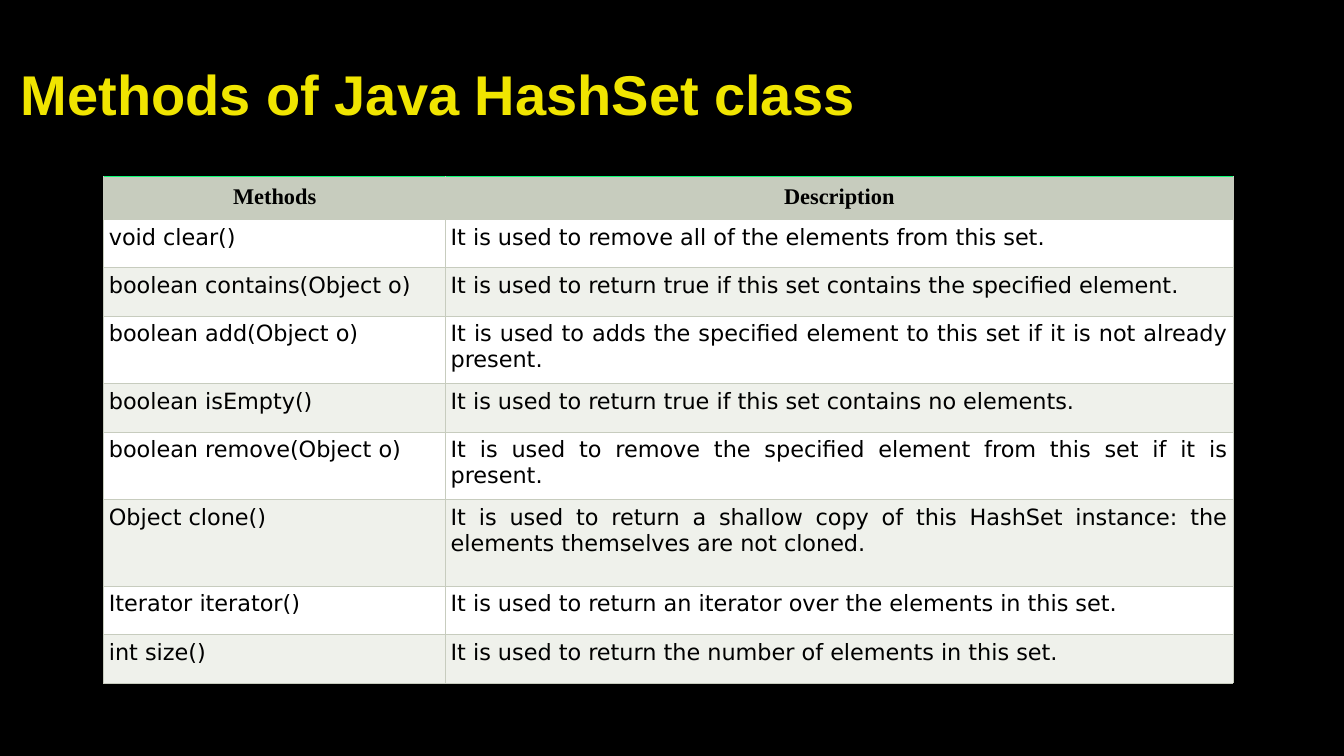
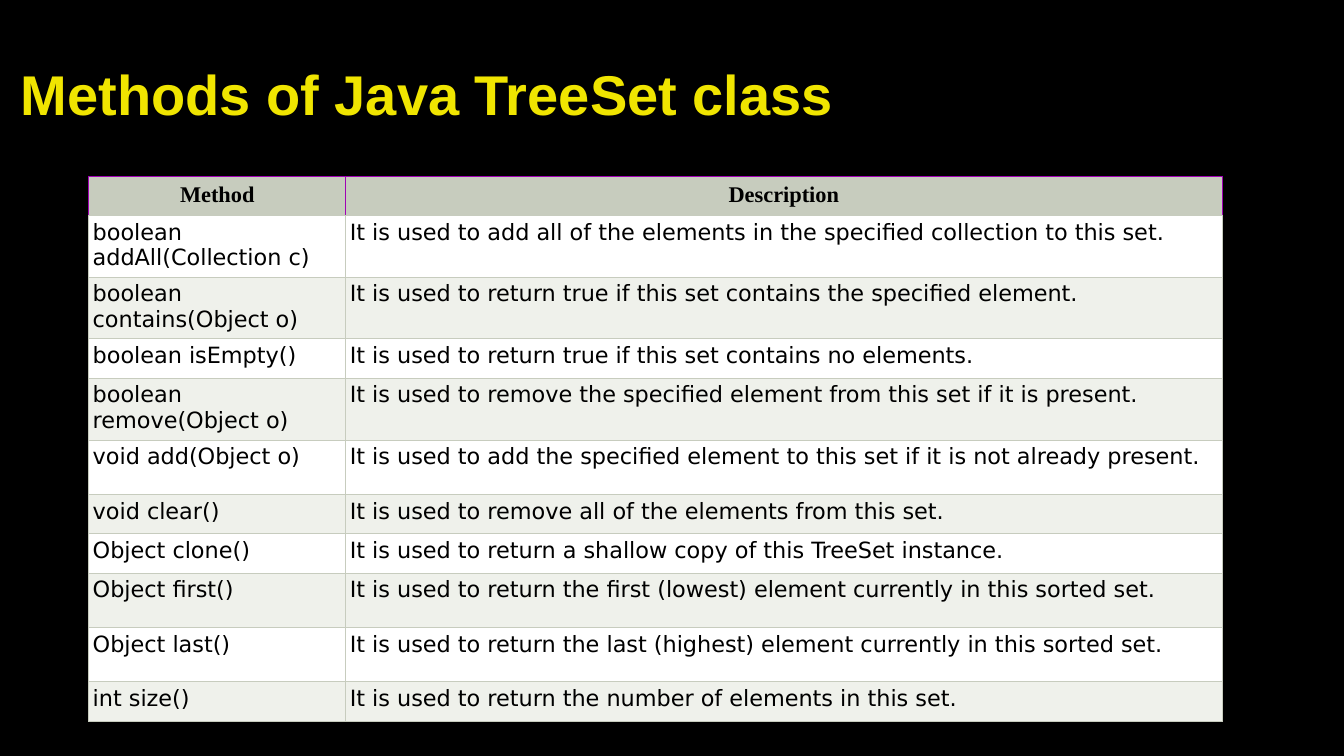
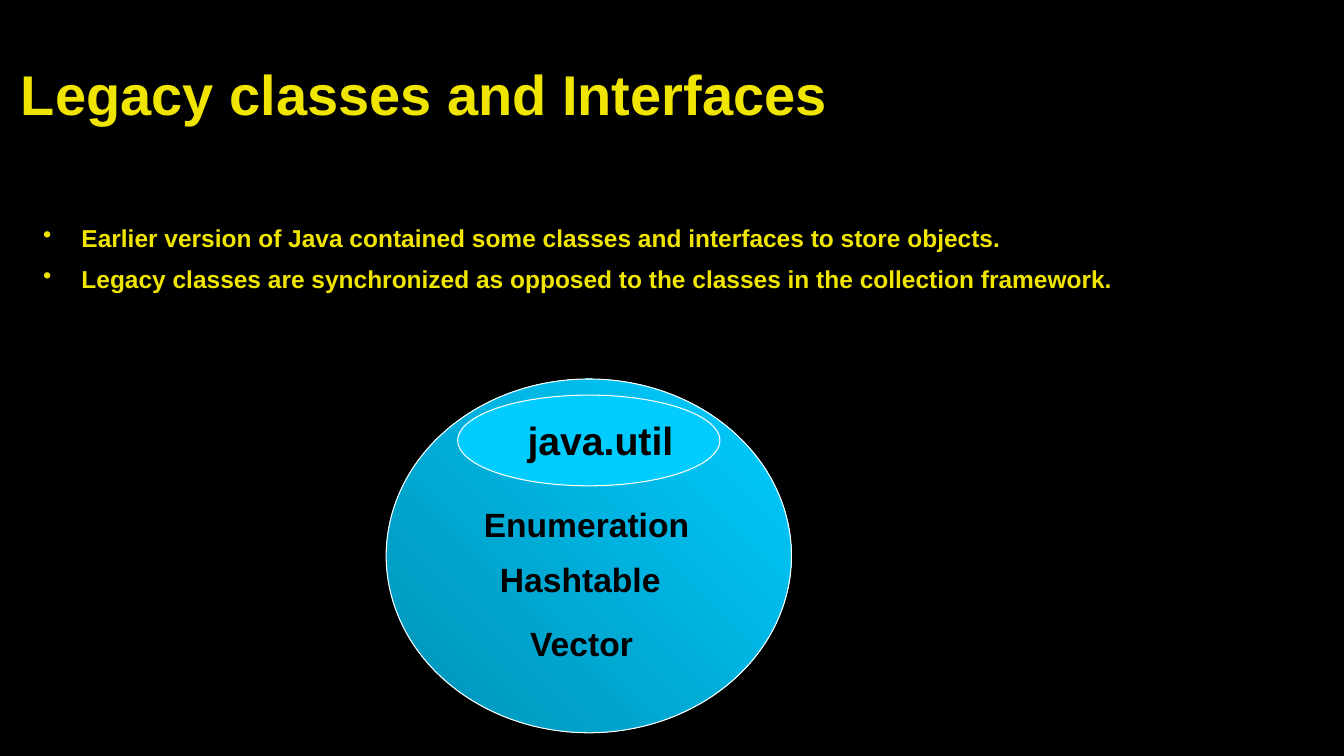
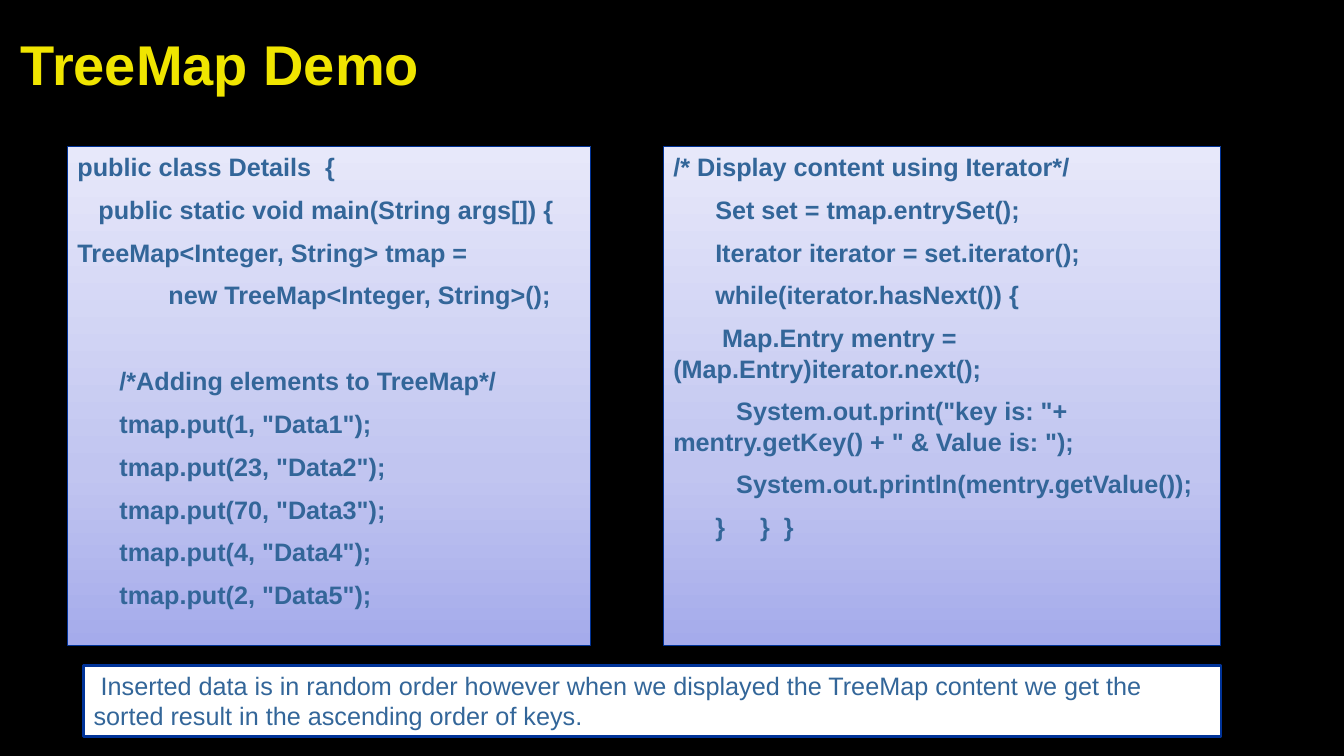
from lxml import etree
from pptx import Presentation
from pptx.dml.color import RGBColor
from pptx.enum.shapes import MSO_SHAPE
from pptx.enum.text import MSO_ANCHOR, PP_ALIGN
from pptx.oxml.ns import qn
from pptx.util import Inches, Pt

OVAL, RECTANGLE = MSO_SHAPE.OVAL, MSO_SHAPE.RECTANGLE
CENTER, JUSTIFY, LEFT = PP_ALIGN.CENTER, PP_ALIGN.JUSTIFY, PP_ALIGN.LEFT
TOP, MIDDLE = MSO_ANCHOR.TOP, MSO_ANCHOR.MIDDLE

BLACK, WHITE, YELLOW = "000000", "FFFFFF", "F0E500"
STEEL, NAVY, CYAN = "336699", "003296", "00CCFF"
TABLE_GREY, BAND_GREY = "C7CCBE", "EFF1EB"
GREEN, PURPLE = "10FB76", "A002B4"
CODE_GRADIENT = [(0, "A5ABEB"), (35, "C1C5F0"), (100, "E7E8FA")]
BALL_GRADIENT = [(0, "0092B6"), (100, CYAN)]

HASHSET_ROWS = [
    (0.48, "void clear()", "It is used to remove all of the elements from this set."),
    (0.48, "boolean contains(Object o)",
     "It is used to return true if this set contains the specified element."),
    (0.67, "boolean add(Object o)",
     "It is used to adds the specified element to this set if it is not already present."),
    (0.48, "boolean isEmpty()", "It is used to return true if this set contains no elements."),
    (0.67, "boolean remove(Object o)",
     "It is used to remove the specified element from this set if it is present."),
    (0.86, "Object clone()",
     "It is used to return a shallow copy of this HashSet instance: "
     "the elements themselves are not cloned."),
    (0.48, "Iterator iterator()",
     "It is used to return an iterator over the elements in this set."),
    (0.48, "int size()", "It is used to return the number of elements in this set."),
]
TREESET_ROWS = [
    (0.6, "boolean addAll(Collection c)",
     "It is used to add all of the elements in the specified collection to this set."),
    (0.6, "boolean contains(Object o)",
     "It is used to return true if this set contains the specified element."),
    (0.39, "boolean isEmpty()", "It is used to return true if this set contains no elements."),
    (0.6, "boolean remove(Object o)",
     "It is used to remove the specified element from this set if it is present."),
    (0.54, "void add(Object o)",
     "It is used to add the specified element to this set if it is not already present."),
    (0.39, "void clear()", "It is used to remove all of the elements from this set."),
    (0.39, "Object clone()", "It is used to return a shallow copy of this TreeSet instance."),
    (0.54, "Object first()",
     "It is used to return the first (lowest) element currently in this sorted set."),
    (0.54, "Object last()",
     "It is used to return the last (highest) element currently in this sorted set."),
    (0.39, "int size()", "It is used to return the number of elements in this set."),
]
LEGACY_POINTS = [
    "Earlier version of Java contained some classes and interfaces to store objects.",
    "Legacy classes are synchronized as opposed to the classes in the collection framework.",
]
FILL_CODE = [
    "public class Details  {",
    "   public static void main(String args[]) {",
    "TreeMap<Integer, String> tmap =",
    "             new TreeMap<Integer, String>();",
    "      /*Adding elements to TreeMap*/",
    '      tmap.put(1, "Data1");',
    '      tmap.put(23, "Data2");',
    '      tmap.put(70, "Data3");',
    '      tmap.put(4, "Data4");',
    '      tmap.put(2, "Data5");',
]
DISPLAY_CODE = [
    "/* Display content using Iterator*/",
    "      Set set = tmap.entrySet();",
    "      Iterator iterator = set.iterator();",
    "      while(iterator.hasNext()) {",
    "       Map.Entry mentry = (Map.Entry)iterator.next();",
    '         System.out.print("key is: "+ mentry.getKey() + " & Value is: ");',
    "         System.out.println(mentry.getValue());",
    "      }     }  }",
]
SORT_NOTE = ("Inserted data is in random order however when we displayed the TreeMap content "
             "we get the sorted result in the ascending order of keys.")


def color(value):
    return RGBColor.from_string(value)


def write_text(frame, lines, size=18, font="Arial", fill=BLACK, bold=True, align=LEFT,
               anchor=TOP, gap=0, left=0, first=0, bullet=None):
    """Fill a text frame, one paragraph a line; left and first are indents in inches."""
    frame.word_wrap = True
    frame.vertical_anchor = anchor
    for index, line in enumerate(lines):
        paragraph = frame.add_paragraph() if index else frame.paragraphs[0]
        properties = paragraph._p.get_or_add_pPr()
        properties.set("marL", str(Inches(left)))
        properties.set("indent", str(Inches(first)))
        if bullet:
            etree.SubElement(properties, qn("a:buChar"), char=bullet)
        paragraph.alignment = align
        if index:
            paragraph.space_before = Pt(gap)
        run = paragraph.add_run()
        run.text = line
        run.font.name, run.font.size, run.font.bold = font, Pt(size), bold
        run.font.color.rgb = color(fill)


def add_text(shapes, box, lines, **text_format):
    text_box = shapes.add_textbox(*map(Inches, box))
    write_text(text_box.text_frame, lines, **text_format)
    return text_box


def fill_gradient(shape, stops, angle):
    shape.fill.gradient()
    shape.fill.gradient_angle = angle
    stop_list = shape._element.spPr.find(".//" + qn("a:gsLst"))
    for stop in list(stop_list):
        stop_list.remove(stop)
    for position, value in stops:
        stop = etree.SubElement(stop_list, qn("a:gs"), pos=str(position * 1000))
        etree.SubElement(stop, qn("a:srgbClr"), val=value)


def add_shape(shapes, kind, box, fill, line, line_width=0.75, angle=0):
    """Draw a preset shape; fill is one colour or a list of gradient stops."""
    shape = shapes.add_shape(kind, *map(Inches, box))
    shape.shadow.inherit = False
    if isinstance(fill, str):
        shape.fill.solid()
        shape.fill.fore_color.rgb = color(fill)
    else:
        fill_gradient(shape, fill, angle)
    shape.line.color.rgb = color(line)
    shape.line.width = Pt(line_width)
    return shape


def set_borders(cell, accents):
    """Draw the four borders in grey, except the sides that accents colours."""
    properties = cell._tc.get_or_add_tcPr()
    for index, side in enumerate(("lnL", "lnR", "lnT", "lnB")):
        border = etree.Element(qn("a:" + side), w=str(Pt(0.75)))
        solid = etree.SubElement(border, qn("a:solidFill"))
        etree.SubElement(solid, qn("a:srgbClr"), val=accents.get(side, TABLE_GREY))
        properties.insert(index, border)


def format_cell(cell, text, fill, margin, accents, **text_format):
    cell.margin_left = cell.margin_right = Inches(margin)
    cell.margin_top = cell.margin_bottom = Inches(margin)
    cell.fill.solid()
    cell.fill.fore_color.rgb = color(fill)
    set_borders(cell, accents)
    write_text(cell.text_frame, [text], size=16, **text_format)


def add_method_table(slide, left, widths, header, header_margin, rows, margin, accents):
    all_rows = [header] + rows
    height = sum(row[0] for row in all_rows)
    frame = slide.shapes.add_table(len(all_rows), len(widths), Inches(left), Inches(1.75),
                                   Inches(sum(widths)), Inches(height))
    table = frame.table
    for column, width in zip(table.columns, widths):
        column.width = Inches(width)
    for row_index, (row_height, *texts) in enumerate(all_rows):
        table.rows[row_index].height = Inches(row_height)
        for column_index, text in enumerate(texts):
            cell = table.cell(row_index, column_index)
            if row_index == 0:
                format_cell(cell, text, TABLE_GREY, header_margin, accents,
                            font="Times New Roman", align=CENTER)
            else:
                format_cell(cell, text, WHITE if row_index % 2 else BAND_GREY, margin, {},
                            font="DejaVu Sans", bold=False, align=JUSTIFY)


def add_slide(presentation, title, title_top=0.3):
    slide = presentation.slides.add_slide(presentation.slide_layouts[6])
    add_text(slide.shapes, (0.11, title_top, 12, 1.25), [title], size=40, fill=YELLOW,
             anchor=MIDDLE)
    return slide


def add_code_panel(slide, left, width, lines):
    panel = add_shape(slide.shapes, RECTANGLE, (left, 1.45, width, 4.95), CODE_GRADIENT, NAVY,
                      angle=90)
    write_text(panel.text_frame, lines, fill=STEEL, gap=9)
    return panel


def build_hashset(presentation):
    slide = add_slide(presentation, "Methods of Java HashSet class")
    add_method_table(slide, 1.03, (3.39, 7.81), (0.41, "Methods", "Description"), 0.08,
                     HASHSET_ROWS, 0.05, {"lnT": GREEN})


def build_treeset(presentation):
    slide = add_slide(presentation, "Methods of Java TreeSet class")
    add_method_table(slide, 0.88, (2.55, 8.69), (0.38, "Method", "Description"), 0.06,
                     TREESET_ROWS, 0.04, dict.fromkeys(("lnL", "lnR", "lnT"), PURPLE))


def build_legacy(presentation):
    slide = add_slide(presentation, "Legacy classes and Interfaces")
    add_text(slide.shapes, (0.33, 2.16, 10.93, 1.27), LEGACY_POINTS, size=17.5, fill=YELLOW,
             gap=8.75, left=0.38, first=-0.38, bullet="•")
    add_shape(slide.shapes, OVAL, (3.83, 3.76, 4.02, 3.51), BALL_GRADIENT, WHITE, angle=45)
    package_label = slide.shapes.add_group_shape().shapes
    add_shape(package_label, OVAL, (4.54, 3.92, 2.6, 0.9), CYAN, WHITE)
    add_text(package_label, (5.09, 4.08, 1.73, 0.57), ["java.util"], size=28, align=CENTER)
    for name, left, top, width in (("Enumeration", 4.7, 4.95, 2.6),
                                   ("Hashtable", 4.86, 5.5, 1.89),
                                   ("Vector", 5.16, 6.13, 1.26)):
        add_text(slide.shapes, (left, top, width, 0.5), [name], size=24)


def build_treemap(presentation):
    slide = add_slide(presentation, "TreeMap Demo", title_top=0)
    fill_panel = add_code_panel(slide, 0.67, 5.19, FILL_CODE)
    comment = fill_panel.text_frame.paragraphs[4]
    comment.space_before = Pt(39.5)
    add_code_panel(slide, 6.58, 5.53, DISPLAY_CODE)
    note = add_shape(slide.shapes, RECTANGLE, (0.83, 6.6, 11.28, 0.71), WHITE, "003399",
                     line_width=2)
    write_text(note.text_frame, [SORT_NOTE], fill=STEEL, bold=False, first=0.07)


def main():
    presentation = Presentation()
    presentation.slide_width, presentation.slide_height = Inches(13.33), Inches(7.5)
    background = presentation.slide_master.background.fill
    background.solid()
    background.fore_color.rgb = color(BLACK)
    build_hashset(presentation)
    build_treeset(presentation)
    build_legacy(presentation)
    build_treemap(presentation)
    presentation.save("out.pptx")


if __name__ == "__main__":
    main()
